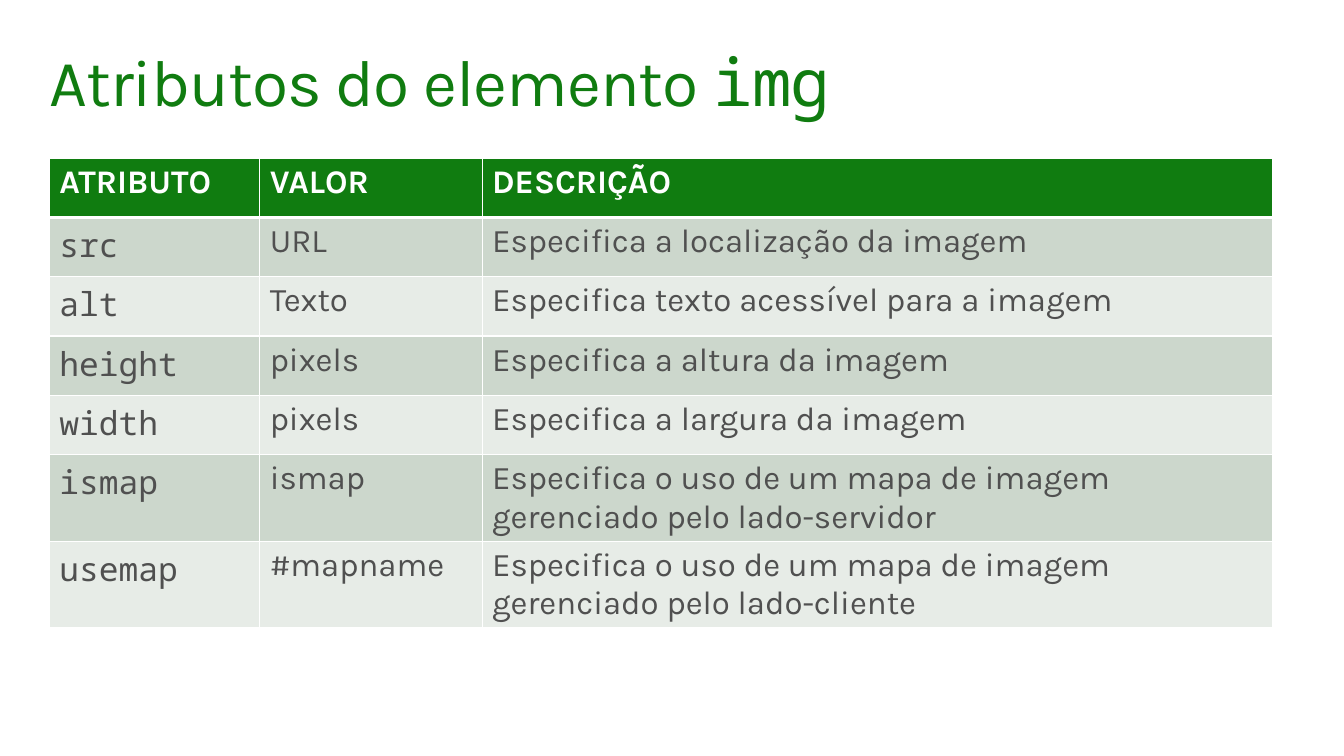
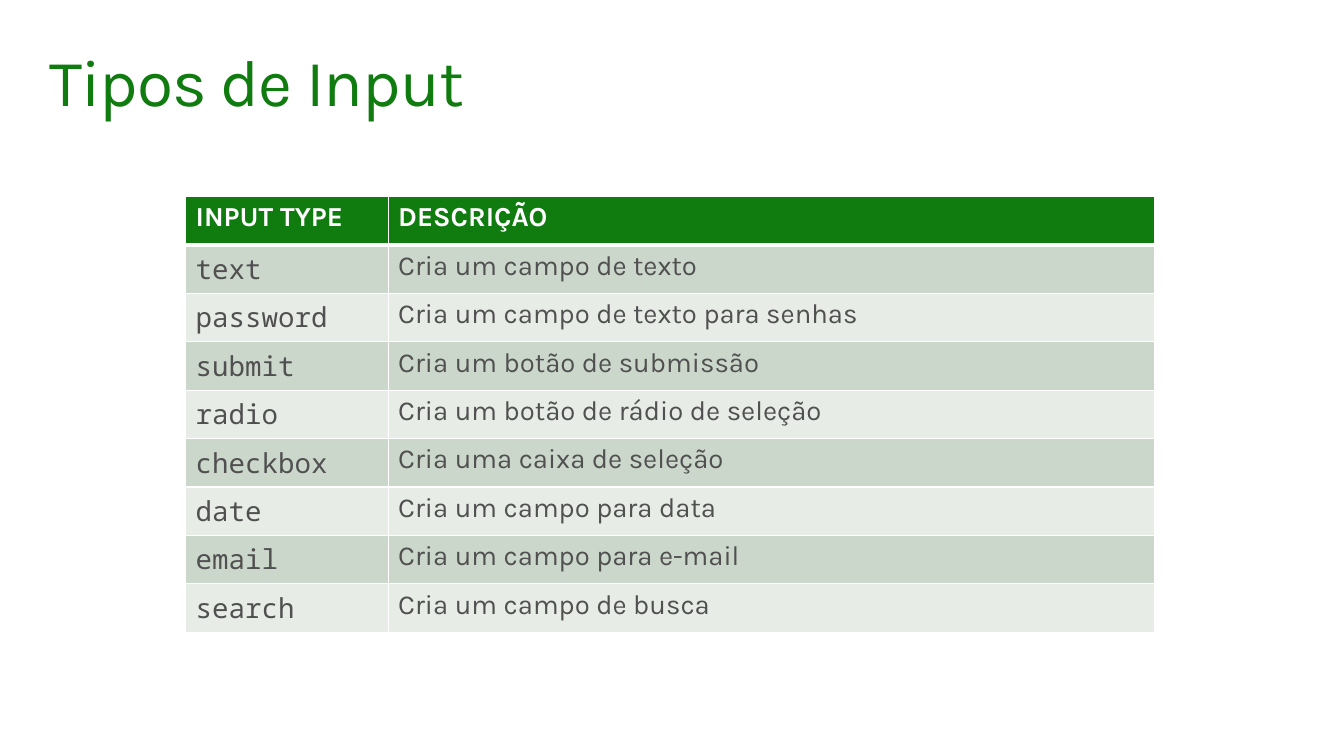
from lxml import etree
from pptx import Presentation
from pptx.dml.color import RGBColor
from pptx.enum.text import MSO_ANCHOR, MSO_AUTO_SIZE, PP_ALIGN
from pptx.oxml.ns import qn
from pptx.util import Inches, Pt

TOP = MSO_ANCHOR.TOP
LEFT = PP_ALIGN.LEFT
NO_AUTOFIT = MSO_AUTO_SIZE.NONE
TITLE_ONLY = 5

# Shared look
SANS, MONO = "Karla", "Noto Sans Mono"
GREEN, WHITE, GREY = "107C10", "FFFFFF", "505050"
BANDS = ("CCD7CC", "E7ECE7")
TITLE_SIZE, TITLE_TRACKING = 48, -0.7
THIN, THICK = 1, 3

# Content: title parts are (text, font); the first table column holds code
SLIDES = [
    {
        "title": [("Atributos do elemento ", SANS), ("img", MONO)],
        "title_height": 1,
        "origin": (0.5, 1.6),
        "columns": (2.13, 2.25, 8),
        "row_height": 0.6,
        "text_size": 24,
        "rows": [
            ("ATRIBUTO", "VALOR", "DESCRIÇÃO"),
            ("src", "URL", "Especifica a localização da imagem"),
            ("alt", "Texto", "Especifica texto acessível para a imagem"),
            ("height", "pixels", "Especifica a altura da imagem"),
            ("width", "pixels", "Especifica a largura da imagem"),
            ("ismap", "ismap", "Especifica o uso de um mapa de imagem gerenciado pelo lado-servidor"),
            ("usemap", "#mapname", "Especifica o uso de um mapa de imagem gerenciado pelo lado-cliente"),
        ],
    },
    {
        "title": [("Tipos de Input", SANS)],
        "title_height": 0.82,
        "origin": (1.88, 1.99),
        "columns": (2.05, 7.75),
        "row_height": 0.49,
        "text_size": 20,
        "rows": [
            ("INPUT TYPE", "DESCRIÇÃO"),
            ("text", "Cria um campo de texto"),
            ("password", "Cria um campo de texto para senhas"),
            ("submit", "Cria um botão de submissão"),
            ("radio", "Cria um botão de rádio de seleção"),
            ("checkbox", "Cria uma caixa de seleção"),
            ("date", "Cria um campo para data"),
            ("email", "Cria um campo para e-mail"),
            ("search", "Cria um campo de busca"),
        ],
    },
]


def rgb(color):
    return RGBColor.from_string(color)


def style_run(run, font, size, color, bold=False):
    run.font.name = font
    run.font.size = Pt(size)
    run.font.color.rgb = rgb(color)
    run.font.bold = bold


def add_title(slide, parts, height):
    title = slide.shapes.title
    title.left, title.top = Inches(0.4), Inches(0.4)
    title.width, title.height = Inches(12.8), Inches(height)
    frame = title.text_frame
    frame.margin_left = frame.margin_right = Inches(0.1)
    frame.margin_top = frame.margin_bottom = Inches(0.1)
    frame.word_wrap = True
    frame.auto_size = NO_AUTOFIT
    frame.vertical_anchor = TOP
    paragraph = frame.paragraphs[0]
    paragraph.alignment = LEFT
    paragraph.line_spacing = 0.9
    for text, font in parts:
        run = paragraph.add_run()
        run.text = text
        style_run(run, font, TITLE_SIZE, GREEN)
        run.font._element.set("spc", str(round(TITLE_TRACKING * 100)))


def set_borders(cell, top, bottom):
    properties = cell._tc.get_or_add_tcPr()
    sides = (("lnL", THIN), ("lnR", THIN), ("lnT", top), ("lnB", bottom))
    for position, (side, width) in enumerate(sides):
        line = etree.Element(qn("a:" + side), w=str(Pt(width)))
        fill = etree.SubElement(line, qn("a:solidFill"))
        etree.SubElement(fill, qn("a:srgbClr"), val=WHITE)
        properties.insert(position, line)


def add_table(slide, content):
    rows, columns = content["rows"], content["columns"]
    left, top = content["origin"]
    row_height = content["row_height"]
    table = slide.shapes.add_table(
        len(rows), len(columns), Inches(left), Inches(top),
        Inches(sum(columns)), Inches(row_height * len(rows))).table
    table.horz_banding = False
    for column, width in zip(table.columns, columns):
        column.width = Inches(width)

    for r, texts in enumerate(rows):
        table.rows[r].height = Inches(row_height)
        header = r == 0
        for c, text in enumerate(texts):
            cell = table.cell(r, c)
            cell.fill.solid()
            cell.fill.fore_color.rgb = rgb(GREEN if header else BANDS[(r - 1) % 2])
            set_borders(cell, THICK if r == 1 else THIN, THICK if header else THIN)
            cell.text_frame.text = text
            font = MONO if c == 0 and not header else SANS
            style_run(cell.text_frame.paragraphs[0].runs[0], font,
                      content["text_size"], WHITE if header else GREY, header)


def main():
    deck = Presentation()
    deck.slide_width, deck.slide_height = Inches(13.6), Inches(7.65)
    for content in SLIDES:
        slide = deck.slides.add_slide(deck.slide_layouts[TITLE_ONLY])
        add_title(slide, content["title"], content["title_height"])
        add_table(slide, content)
    deck.save("out.pptx")


if __name__ == "__main__":
    main()
